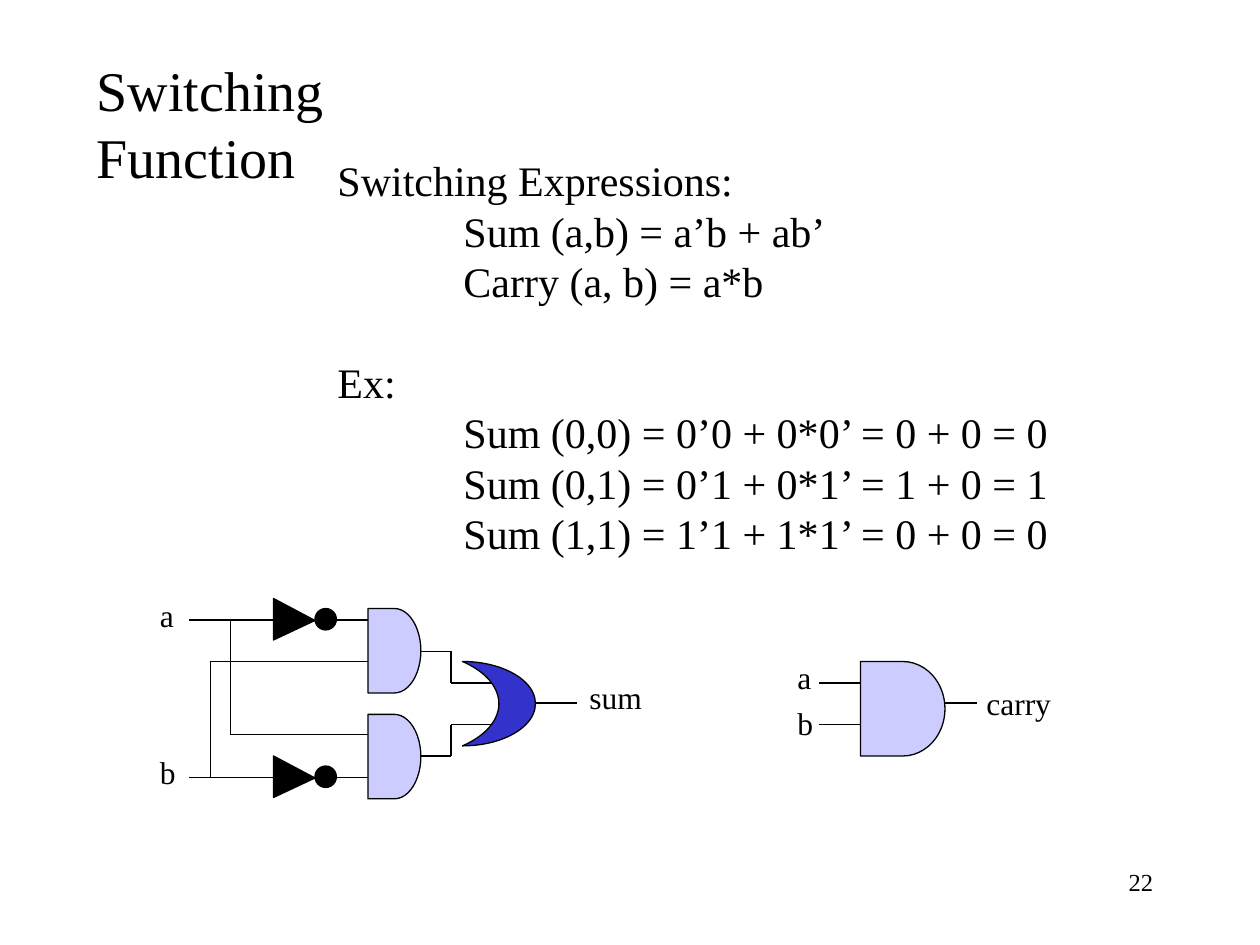
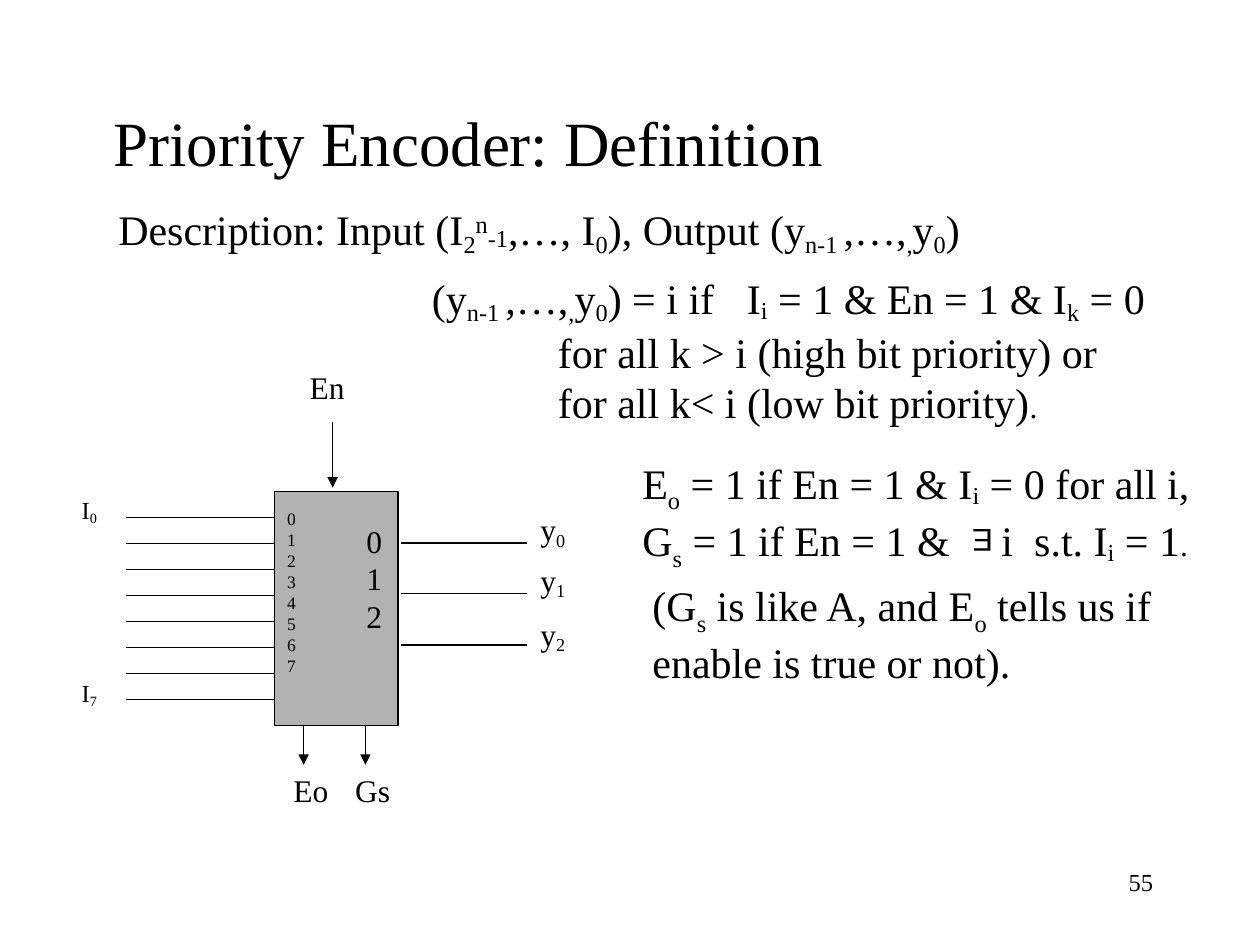
from itertools import pairwise

from lxml import etree
from pptx import Presentation
from pptx.dml.color import RGBColor
from pptx.enum.shapes import MSO_CONNECTOR, MSO_SHAPE
from pptx.enum.text import MSO_AUTO_SIZE, PP_ALIGN
from pptx.oxml.ns import qn
from pptx.util import Inches, Pt

STRAIGHT = MSO_CONNECTOR.STRAIGHT
RECT = MSO_SHAPE.RECTANGLE
TRIANGLE = MSO_SHAPE.ISOSCELES_TRIANGLE
OVAL = MSO_SHAPE.OVAL
AND_GATE = MSO_SHAPE.FLOWCHART_DELAY
OR_GATE = MSO_SHAPE.MOON
GROW = MSO_AUTO_SIZE.SHAPE_TO_FIT_TEXT
LEFT, RIGHT = PP_ALIGN.LEFT, PP_ALIGN.RIGHT

BLACK = RGBColor(0x00, 0x00, 0x00)
LAVENDER = RGBColor(0xCC, 0xCC, 0xFF)
BLUE = RGBColor(0x33, 0x33, 0xCC)
GRAY = RGBColor(0xB2, 0xB2, 0xB2)
SERIF = "Times New Roman"
SANS = "Arial"
LINE_HEIGHT = 1.2

# A paragraph is a list of runs: plain text, or (text, baseline percent[, size]).
EXPRESSIONS = [
    ["Switching Expressions:"],
    ["Sum (a,b) = a’b + ab’"],
    ["Carry (a, b) = a*b"],
    ["Ex:"],
    ["Sum (0,0) = 0’0 + 0*0’ = 0 + 0 = 0"],
    ["Sum (0,1) = 0’1 + 0*1’ = 1 + 0 = 1"],
    ["Sum (1,1) = 1’1 + 1*1’ = 0 + 0 = 0"],
]
EXPRESSION_INDENTS = [0, 1, 1, 0, 1, 1, 1]
EXAMPLE_ROW = 3

SUM_WIRES = [
    [(1.5, 4.92), (2.17, 4.92)],
    [(1.5, 6.17), (2.17, 6.17)],
    [(2.67, 4.92), (2.92, 4.92)],
    [(2.67, 6.17), (2.92, 6.17)],
    [(1.67, 6.17), (1.67, 5.25), (2.92, 5.25)],
    [(1.83, 4.92), (1.83, 5.83), (2.92, 5.83)],
    [(3.33, 5.17), (3.58, 5.17), (3.58, 5.42), (3.92, 5.42)],
    [(3.33, 6), (3.58, 6), (3.58, 5.75), (3.92, 5.75)],
    [(4.25, 5.58), (4.58, 5.58)],
]
CARRY_WIRES = [
    [(6.83, 5.42), (6.5, 5.42)],
    [(6.83, 5.75), (6.5, 5.75)],
    [(7.5, 5.58), (7.75, 5.58)],
]
INVERTER_TOPS = [4.75, 6]
AND_GATES = [
    (2.92, 4.83, 0.42, 0.67),
    (2.92, 5.67, 0.42, 0.67),
    (6.83, 5.25, 0.67, 0.75),
]
GATE_LABELS = [
    ("a", 1.17, 4.68, 0.31), ("b", 1.17, 5.93, 0.33), ("sum", 4.58, 5.33, 0.62),
    ("a", 6.23, 5.17, 0.31), ("b", 6.23, 5.54, 0.33), ("carry", 7.73, 5.38, 0.72),
]

OUTPUTS = [("n-1 ", -18), ",…,", (",", -18), "y", ("0", -18)]
DESCRIPTION = [[
    "Description: Input (I", ("2", -18), ("n", 30), ("-1", -4), ",…, I", ("0", -18),
    "), Output (y", *OUTPUTS, ")",
]]
RULE = [
    ["(y", *OUTPUTS, ") = i if\tI", ("i", -12), " = 1 & En = 1 & I", ("k", -18), " = 0"],
    ["for all k > i (high bit priority) or"],
    ["for all k< i (low bit priority)", (".", 0, 18)],
]
ENABLE = [
    ["E", ("o", -25), " = 1 if En = 1 & I", ("i", -12), " = 0 for all i,"],
    ["G", ("s", -25), " = 1 if En = 1 &\ti\ts.t. I", ("i", -12), " = 1", (".", 0, 18)],
]
REMARK = [[
    "(G", ("s", -25), " is like A, and E", ("o", -25),
    " tells us if enable is true or not).",
]]
ENCODER_LABELS = [("En", 2.36, 2.87), ("Eo", 2.23, 6.07), ("Gs", 2.72, 6.07)]
ENCODER_ARROWS = [(2.64, 3.35, 3.87), (2.41, 5.76, 6.07), (2.9, 5.76, 6.07)]
INPUT_COUNT, FIRST_INPUT, INPUT_STEP = 8, 4.11, 0.206
INPUT_LABELS = [("0", 3.88), ("7", 5.33)]
OUTPUT_PINS = [("0", 4.31, 4), ("1", 4.71, 4.4), ("2", 5.12, 4.83)]


def add_text(slide, box, paragraphs, size, wrap=False, align=LEFT, font=SERIF,
             indents=None, tabs=None, even_lines=False):
    tb = slide.shapes.add_textbox(*map(Inches, box))
    tf = tb.text_frame
    tf.word_wrap = wrap
    tf.auto_size = GROW
    for i, runs in enumerate(paragraphs):
        p = tf.paragraphs[0] if i == 0 else tf.add_paragraph()
        pPr = p._p.get_or_add_pPr()
        if indents:
            pPr.set("marL", str(Inches(indents[i])))
            pPr.set("indent", "0")
        if tabs and tabs[i]:
            stops = etree.SubElement(pPr, qn("a:tabLst"))
            for pos in tabs[i]:
                etree.SubElement(stops, qn("a:tab"), pos=str(Inches(pos)), algn="l")
        p.alignment = align
        if even_lines or (indents and indents[i]):
            p.line_spacing = Pt(size * LINE_HEIGHT)
        for run in runs:
            text, base, run_size = ((run,) if isinstance(run, str) else run) + (0, size)[
                (1 if isinstance(run, str) else len(run)) - 1:]
            r = p.add_run()
            r.text = text
            r.font.name = font
            r.font.size = Pt(run_size)
            r.font.color.rgb = BLACK
            if base:
                r.font._element.set("baseline", str(base * 1000))
    return tb


def add_part(slide, kind, box, fill):
    s = slide.shapes.add_shape(kind, *map(Inches, box))
    s.shadow.inherit = False
    s.fill.solid()
    s.fill.fore_color.rgb = fill
    s.line.color.rgb = BLACK
    s.line.width = Pt(0.75)
    return s


def add_wire(slide, points, arrow=False):
    for start, end in pairwise(points):
        c = slide.shapes.add_connector(STRAIGHT, *map(Inches, (*start, *end)))
        c.line.color.rgb = BLACK
        c.line.width = Pt(0.75)
        if arrow:
            etree.SubElement(c.line._get_or_add_ln(), qn("a:tailEnd"), type="triangle")
        etree.SubElement(c._element.spPr, qn("a:effectLst"))


def add_page(prs, number, title, title_box, title_size):
    slide = prs.slides.add_slide(prs.slide_layouts[6])
    add_text(slide, (7.17, 6.83, 2.08, 0.5), [[number]], 14, wrap=True, align=RIGHT)
    add_text(slide, title_box, [[title]], title_size)
    return slide


def build_switching(prs):
    slide = add_page(prs, "22", "Switching Function", (0.67, 0.39, 3.68, 0.63), 32)
    tb = add_text(slide, (2.58, 1.18, 5.89, 3.74), EXPRESSIONS, 24,
                  indents=EXPRESSION_INDENTS, even_lines=True)
    tb.text_frame.paragraphs[EXAMPLE_ROW].space_before = Pt(24 * LINE_HEIGHT)

    for wire in SUM_WIRES + CARRY_WIRES:
        add_wire(slide, wire)
    for top in INVERTER_TOPS:
        inverter = add_part(slide, TRIANGLE, (2.17, top, 0.33, 0.33), BLACK)
        inverter.rotation = 90
        inverter.adjustments[0] = 0.53
        add_part(slide, OVAL, (2.5, top + 0.08, 0.17, 0.17), BLACK)
    for box in AND_GATES:
        add_part(slide, AND_GATE, box, LAVENDER)
    or_gate = add_part(slide, OR_GATE, (3.67, 5.25, 0.58, 0.67), BLUE)
    or_gate.adjustments[0] = 0.5
    or_gate._element.spPr.get_or_add_xfrm().set("flipH", "1")
    for label, left, top, width in GATE_LABELS:
        add_text(slide, (left, top, width, 0.4), [[label]], 18)


def build_encoder(prs):
    slide = add_page(prs, "55", "Priority Encoder: Definition",
                     (0.8, 0.77, 5.84, 0.7), 36)
    add_text(slide, (0.84, 1.57, 7.52, 0.5), DESCRIPTION, 24, wrap=True)
    add_text(slide, (3.33, 2.11, 5.99, 1.31), RULE, 24,
             indents=[0, 1, 1], tabs=[[2.4], [], []])
    add_text(slide, (5, 3.58, 4.56, 0.9), ENABLE, 24, tabs=[[], [2.85, 3.11]])
    exists = add_text(slide, (7.55, 4.1, 0.43, 0.4), [["E"]], 18, wrap=True, font=SANS)
    exists.rotation = 180
    add_text(slide, (5.08, 4.55, 4.28, 0.91), REMARK, 24, wrap=True)

    add_part(slide, RECT, (2.18, 3.9, 0.98, 1.86), GRAY)
    for i in range(INPUT_COUNT):
        y = FIRST_INPUT + i * INPUT_STEP
        add_wire(slide, [(1, y), (2.18, y)])
    for x, top, bottom in ENCODER_ARROWS:
        add_wire(slide, [(x, top), (x, bottom)], arrow=True)
    for label, left, top in ENCODER_LABELS:
        add_text(slide, (left, top, 0.52, 0.5), [[label]], 18)
    for index, top in INPUT_LABELS:
        add_text(slide, (0.55, top, 0.36, 0.41), [["I", (index, -18)]], 14)
    for index, y, top in OUTPUT_PINS:
        add_wire(slide, [(3.18, y), (4.18, y)])
        add_text(slide, (4.19, top, 0.45, 0.5), [["y", (index, -18)]], 18)
    add_text(slide, (2.18, 3.98, 0.3, 1.78), [[str(i)] for i in range(INPUT_COUNT)],
             10, even_lines=True)
    add_text(slide, (2.81, 4.09, 0.36, 1.24), [[pin[0]] for pin in OUTPUT_PINS],
             18, even_lines=True)


def main():
    prs = Presentation()
    prs.slide_width, prs.slide_height = Inches(10), Inches(7.5)
    build_switching(prs)
    build_encoder(prs)
    prs.save("out.pptx")


if __name__ == "__main__":
    main()
